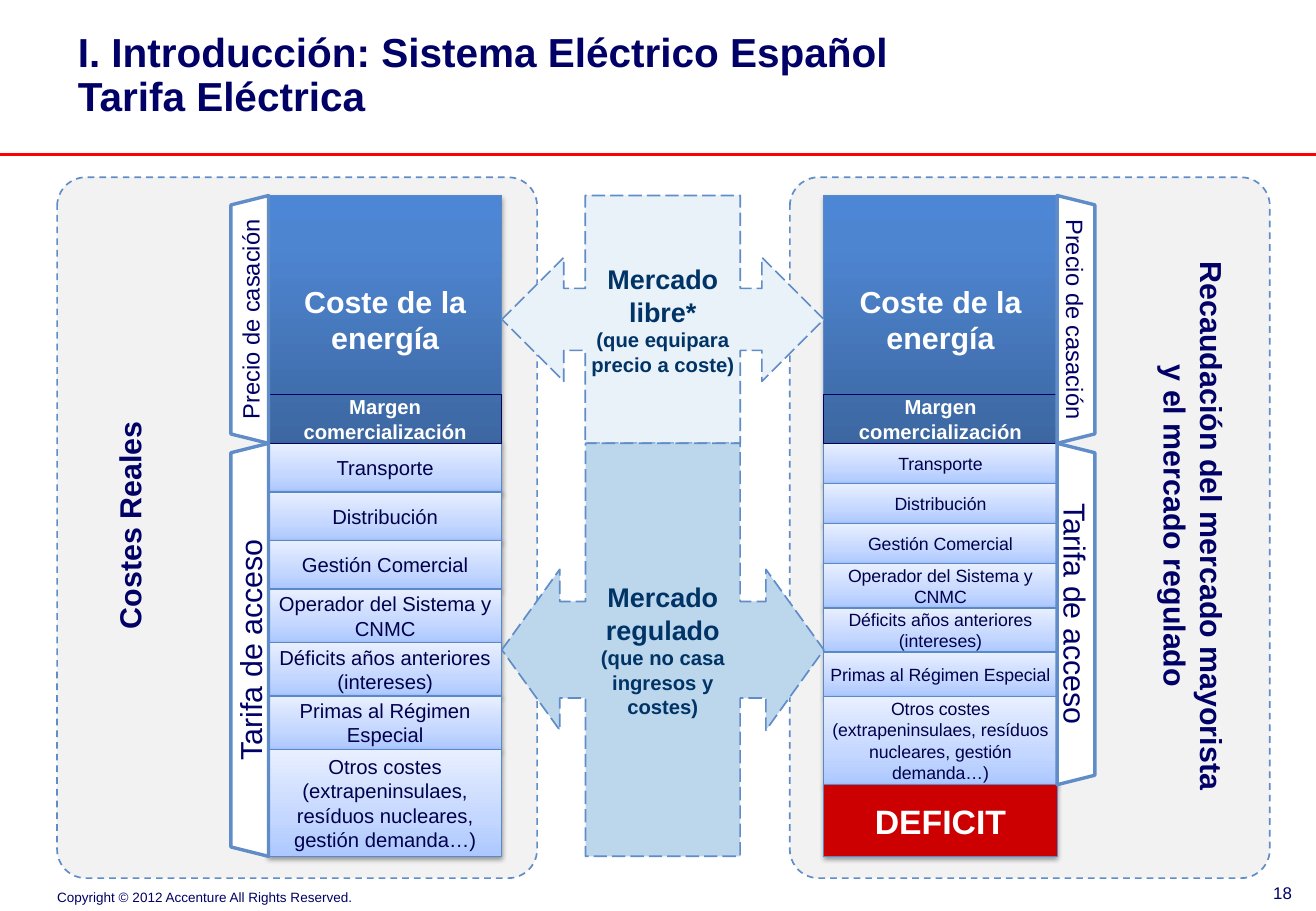
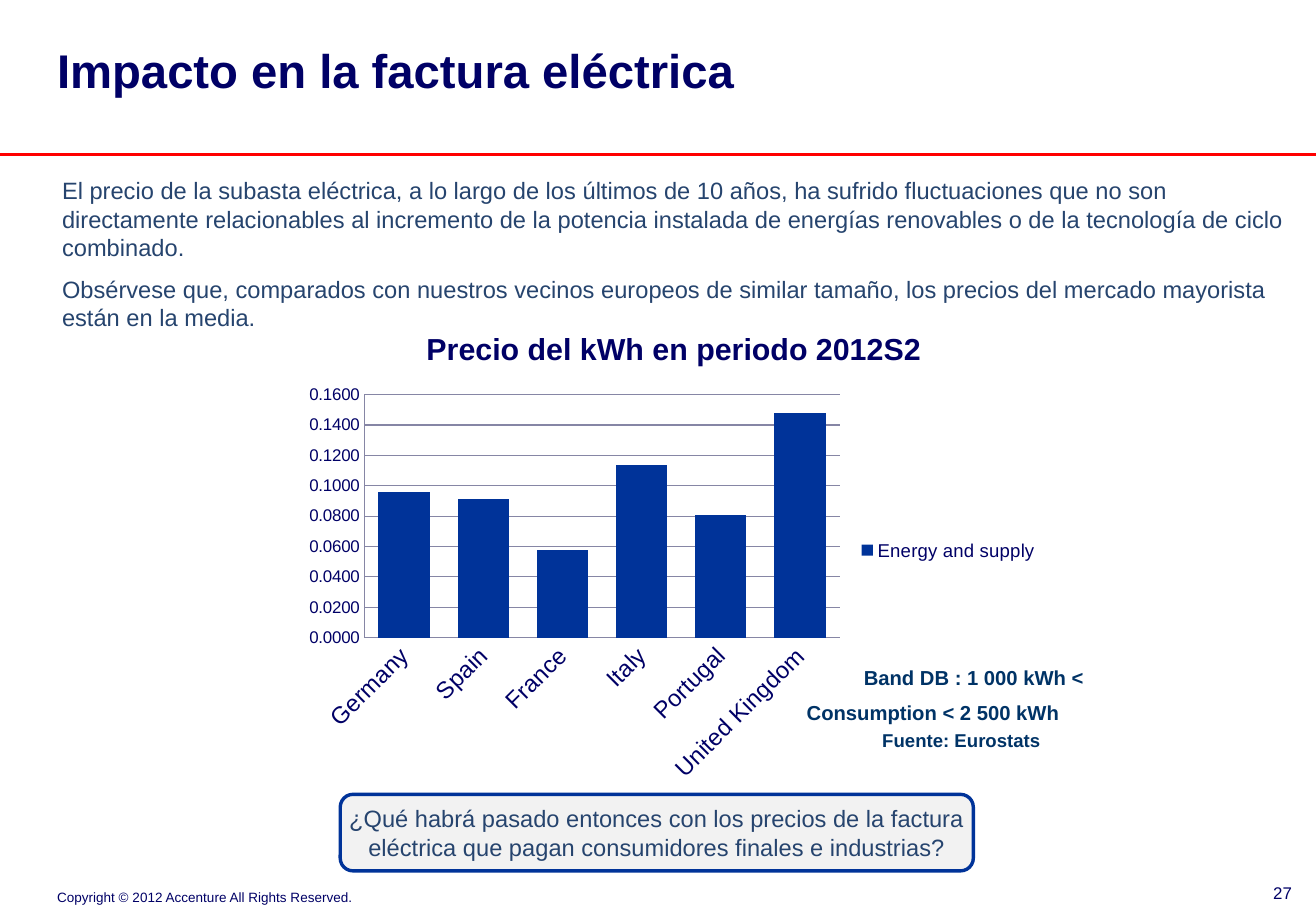
"""Build two slides on the Spanish electricity tariff and its market prices."""
from dataclasses import dataclass
from typing import Optional

from lxml import etree
from pptx import Presentation
from pptx.chart.data import CategoryChartData
from pptx.dml.color import RGBColor
from pptx.enum.chart import XL_CHART_TYPE as CT, XL_LEGEND_POSITION as LP, XL_TICK_MARK as TM
from pptx.enum.dml import MSO_LINE
from pptx.enum.shapes import MSO_CONNECTOR, MSO_SHAPE as SH
from pptx.enum.text import MSO_ANCHOR as VA, MSO_AUTO_SIZE, PP_ALIGN as AL
from pptx.oxml.ns import qn
from pptx.util import Inches, Pt

COLORS = {
    "navy": "000066", "ink": "00004D", "teal": "003366", "slate": "26446E",
    "bar": "003399", "white": "FFFFFF", "red": "FF0000", "deficit": "CC0000",
    "panel": "F2F2F2", "free": "E9F1F9", "regulated": "BCD6EC",
    "outline": "608CC8", "edge": "5B89C6", "grid": "8686A5",
}
GRADIENTS = {
    "energy": [(0, "3C67A1"), (80, "4E85D1"), (100, "4C86D4")],
    "access": [(0, "ACC8FF"), (35, "C4D7FF"), (100, "E8EFFF")],
}
TIGHT = (0.04, 0.04, 0.04, 0.04)
PADDED = (0.04, 0.05, 0.04, 0.05)
DEFAULT = (0.1, 0.05, 0.1, 0.05)
NONE = (0, 0, 0, 0)

TOP, SPLIT, BOTTOM = 1.61, 3.65, 7.05
COL_W, BRACKET_W, MARGIN_H = 1.92, 0.31, 0.4
ACCESS_COSTS = [
    ("Transporte", 0.4), ("Distribución", 0.4), ("Gestión Comercial", 0.4),
    ("Operador del Sistema y CNMC", 0.44), ("Déficits años anteriores (intereses)", 0.44),
    ("Primas al Régimen Especial", 0.44),
    ("Otros costes (extrapeninsulaes, resíduos nucleares, gestión demanda…)", 0.88),
]


@dataclass(frozen=True)
class Box:
    x: float
    y: float
    w: float
    h: float

    def emu(self):
        return [Inches(v) for v in (self.x, self.y, self.w, self.h)]


@dataclass(frozen=True)
class Look:
    line: str
    width: float
    fill: Optional[str] = None
    dash: Optional[MSO_LINE] = None
    shadow: Optional[int] = None


@dataclass(frozen=True)
class Para:
    text: str
    size: float
    color: str = "navy"
    bold: bool = False
    align: AL = AL.LEFT
    spacing: Optional[float] = None
    before: Optional[float] = None


@dataclass(frozen=True)
class CostColumn:
    x: float
    access_h: float
    size: float
    bracket_x: float
    rotation: int


PANEL = Look("outline", 1, "panel", MSO_LINE.DASH)
ENERGY = Look("edge", 0.75, "energy", shadow=35)
ACCESS = Look("edge", 0.75, "access", shadow=38)
DEFICIT = Look("edge", 0.75, "deficit", shadow=38)
MARGIN = Look("navy", 0.75)
BRACKET = Look("outline", 2, "white")
QUESTION = Look("bar", 2, "panel")
COLUMNS = [
    CostColumn(2.21, 3.4, 12, 2.21 - BRACKET_W, 270),
    CostColumn(6.78, 2.81, 10.5, 6.78 + COL_W, 90),
]


def rgb(name: str) -> RGBColor:
    return RGBColor.from_string(COLORS[name])


def assign(obj, **values) -> None:
    for name, value in values.items():
        setattr(obj, name, value)


def set_font(font, size: float, color: str = "navy", bold: bool = False) -> None:
    assign(font, name="Arial", size=Pt(size), bold=bold)
    font.color.rgb = rgb(color)


def write(tf, paras: list, inset=NONE, anchor=VA.TOP, wrap: bool = True) -> None:
    left, top, right, bottom = map(Inches, inset)
    assign(tf, auto_size=MSO_AUTO_SIZE.NONE, word_wrap=wrap, vertical_anchor=anchor,
           margin_left=left, margin_top=top, margin_right=right, margin_bottom=bottom)
    for i, para in enumerate(paras):
        p = tf.add_paragraph() if i else tf.paragraphs[0]
        assign(p, alignment=para.align, line_spacing=para.spacing,
               space_before=Pt(para.before or 0))
        r = p.add_run()
        r.text = para.text
        set_font(r.font, para.size, para.color, para.bold)


def add_text(s, box: Box, paras: list, inset=PADDED, rotation: int = 0, **frame):
    tb = s.shapes.add_textbox(*box.emu())
    tb.rotation = rotation
    write(tb.text_frame, paras, inset, **frame)
    return tb


def add_box(s, kind, box: Box, look: Look, paras=(), inset=TIGHT, wrap=True, rotation=0, adj=()):
    sp = s.shapes.add_shape(kind, *box.emu())
    sp.rotation = rotation
    for i, value in enumerate(adj):
        sp.adjustments[i] = value
    if look.fill in GRADIENTS:
        sp.fill.gradient()
        sp.fill.gradient_angle = 90
        stops = sp._element.spPr.find(qn("a:gradFill")).find(qn("a:gsLst"))
        for stop in list(stops):
            stops.remove(stop)
        for pos, color in GRADIENTS[look.fill]:
            gs = etree.SubElement(stops, qn("a:gs"), pos=str(pos * 1000))
            etree.SubElement(gs, qn("a:srgbClr"), val=color)
    elif look.fill:
        sp.fill.solid()
        sp.fill.fore_color.rgb = rgb(look.fill)
    else:
        sp.fill.background()
    sp.line.color.rgb = rgb(look.line)
    assign(sp.line, width=Pt(look.width), dash_style=look.dash)
    sp.shadow.inherit = False
    if look.shadow:
        effects = sp._element.spPr.find(qn("a:effectLst"))
        outer = etree.SubElement(effects, qn("a:outerShdw"), blurRad=str(Pt(3.1)),
                                 dist=str(Pt(1.7)), dir="5400000", rotWithShape="0")
        black = etree.SubElement(outer, qn("a:srgbClr"), val="000000")
        etree.SubElement(black, qn("a:alpha"), val=str(look.shadow * 1000))
    if paras:
        write(sp.text_frame, paras, inset, VA.MIDDLE, wrap)
    return sp


def new_slide(prs, layout: int, number: str, title: list, title_box: Box):
    s = prs.slides.add_slide(prs.slide_layouts[layout])
    place(s.shapes.title, title_box)
    write(s.shapes.title.text_frame, title)
    rule = s.shapes.add_connector(MSO_CONNECTOR.STRAIGHT, 0, Inches(1.27), prs.slide_width, Inches(1.27))
    rule.line.color.rgb = rgb("red")
    rule.line.width = Pt(2)
    etree.SubElement(rule._element.spPr, qn("a:effectLst"))
    add_text(s, Box(0.47, 7.27, 2.5, 0.18), [Para("Copyright © 2012 Accenture All Rights Reserved.", 8)],
             NONE, anchor=VA.BOTTOM, wrap=False)
    add_text(s, Box(9.94, 7.22, 0.79, 0.18), [Para(number, 10, align=AL.RIGHT)], DEFAULT)
    return s


def place(shape, box: Box) -> None:
    assign(shape, **dict(zip(("left", "top", "width", "height"), box.emu())))


def centred(text: str, size: float, color: str = "navy", bold: bool = False) -> list:
    return [Para(text, size, color, bold, AL.CENTER)]


def add_bracket(s, col: CostColumn, text: str, size: float, top: float, height: float) -> None:
    cx, cy = col.bracket_x + BRACKET_W / 2, top + height / 2
    box = Box(cx - height / 2, cy - BRACKET_W / 2, height, BRACKET_W)
    add_box(s, SH.TRAPEZOID, box, BRACKET, centred(text, size), DEFAULT, False, col.rotation)


def add_column(s, col: CostColumn) -> None:
    def cell(text, top, height, look, size, color="white", bold=True):
        add_box(s, SH.RECTANGLE, Box(col.x, top, COL_W, height), look, centred(text, size, color, bold))

    cell("Coste de la energía", TOP, SPLIT - TOP, ENERGY, 18)
    y, scale = SPLIT, col.access_h / sum(h for _, h in ACCESS_COSTS)
    for text, height in ACCESS_COSTS:
        cell(text, y, height * scale, ACCESS, col.size, "ink", False)
        y += height * scale
    cell("Margen comercialización", SPLIT - MARGIN_H, MARGIN_H, MARGIN, 12)
    if BOTTOM - y > 0.1:
        cell("DEFICIT", y, BOTTOM - y, DEFICIT, 20)
    add_bracket(s, col, "Tarifa de acceso", 18, SPLIT, col.access_h)
    add_bracket(s, col, "Precio de casación", 14, TOP, SPLIT - TOP)


def tariff_slide(prs) -> None:
    title = [Para(t, 24, bold=True, spacing=0.9)
             for t in ("I. Introducción: Sistema Eléctrico Español", "Tarifa Eléctrica")]
    s = new_slide(prs, 5, "18", title, Box(0.64, 0.27, 10.19, 0.95))
    for x in (6.5, 0.47):
        add_box(s, SH.ROUNDED_RECTANGLE, Box(x, 1.46, 3.95, 5.77), PANEL, adj=(0.06,))
    add_text(s, Box(0.14, 4.13, 1.84, 0.39), centred("Costes Reales", 18, bold=True),
             rotation=270, wrap=False)
    add_text(s, Box(7.55, 3.95, 4.49, 0.76), rotation=90, paras=centred(
        "Recaudación del mercado mayorista y el mercado regulado", 18, bold=True))
    for col in COLUMNS:
        add_column(s, col)
    left = COLUMNS[0].x + COL_W
    for head, detail, top, end, fill, adj in (
        ("Mercado libre*", "(que equipara precio a coste)", TOP, SPLIT, "free", ()),
        ("Mercado regulado", "(que no casa ingresos y costes)", SPLIT, BOTTOM, "regulated",
         (0.3, 0.25, 0.18, 0.48)),
    ):
        add_box(s, SH.LEFT_RIGHT_ARROW_CALLOUT, Box(left, top, COLUMNS[1].x - left, end - top),
                Look("outline", 1, fill, MSO_LINE.LONG_DASH),
                centred(head, 16, "teal", True) + centred(detail, 12, "teal", True), adj=adj)


def add_price_chart(s) -> None:
    data = CategoryChartData(number_format="#,##0.0000")
    data.categories = ["Germany", "Spain", "France", "Italy", "Portugal", "United Kingdom"]
    data.add_series("Energy and supply", [0.096, 0.091, 0.058, 0.114, 0.081, 0.148])
    chart = s.shapes.add_chart(CT.COLUMN_STACKED, *Box(2.44, 2.53, 6.21, 4).emu(), data).chart
    set_font(chart.font, 10)
    chart.has_title = True
    write_title = chart.chart_title.text_frame
    write_title.text = "Precio del kWh en periodo 2012S2"
    set_font(write_title.paragraphs[0].runs[0].font, 18, bold=True)
    chart.has_legend = True
    assign(chart.legend, position=LP.RIGHT, include_in_layout=False)
    set_font(chart.legend.font, 11)
    plot = chart.plots[0]
    assign(plot, gap_width=55, overlap=100, vary_by_categories=False)
    fill = plot.series[0].format.fill
    fill.solid()
    fill.fore_color.rgb = rgb("bar")
    cat, val = chart.category_axis, chart.value_axis
    assign(val, minimum_scale=0, maximum_scale=0.16, major_unit=0.02, has_major_gridlines=True)
    assign(val.tick_labels, number_format="#,##0.0000", number_format_is_linked=False)
    for axis, size in ((cat, 14), (val, 10)):
        axis.major_tick_mark = TM.NONE
        axis.format.line.color.rgb = rgb("grid")
        set_font(axis.tick_labels.font, size)
    val.major_gridlines.format.line.color.rgb = rgb("grid")
    cat._element.find(qn("c:txPr")).find(qn("a:bodyPr")).set("rot", "-2700000")
    area = chart._chartSpace.chart.plotArea
    for old in area.findall(qn("c:layout")):
        area.remove(old)
    layout = etree.Element(qn("c:layout"))
    manual = etree.SubElement(layout, qn("c:manualLayout"))
    for tag, value in (("layoutTarget", "inner"), ("xMode", "edge"), ("yMode", "edge"),
                       ("x", "0.09"), ("y", "0.18"), ("w", "0.63"), ("h", "0.5")):
        etree.SubElement(manual, qn(f"c:{tag}"), val=value)
    area.insert(0, layout)


def price_slide(prs) -> None:
    title = [Para("Impacto en la factura eléctrica", 28, bold=True, spacing=0.9)]
    s = new_slide(prs, 1, "27", title, Box(0.47, 0.39, 7.93, 0.82))
    body = s.placeholders[1]
    place(body, Box(0.47, 1.4, 10.15, 1.38))
    write(body.text_frame, [
        Para("El precio de la subasta eléctrica, a lo largo de los últimos de 10 años, ha sufrido "
             "fluctuaciones que no son directamente relacionables al incremento de la potencia "
             "instalada de energías renovables o de la tecnología de ciclo combinado.", 14, "slate"),
        Para("Obsérvese que, comparados con nuestros vecinos europeos de similar tamaño, los precios "
             "del mercado mayorista están en la media.", 14, "slate", before=8),
    ], PADDED)
    for p in body.text_frame.paragraphs:
        pPr = p._p.get_or_add_pPr()
        pPr.set("marL", "0")
        pPr.set("indent", "0")
        etree.SubElement(pPr, qn("a:buNone"))
    add_box(s, SH.ROUNDED_RECTANGLE, Box(2.8, 6.54, 5.21, 0.63), QUESTION, centred(
        "¿Qué habrá pasado entonces con los precios de la factura eléctrica que pagan "
        "consumidores finales e industrias?", 14, "slate"), PADDED)
    add_price_chart(s)
    add_text(s, Box(7.22, 5.95, 1.58, 0.39), [Para("Fuente: Eurostats", 11, "teal", True)])
    band = add_text(s, Box(6.54, 5.34, 2.95, 0.6), [
        Para("Band DB : 1 000 kWh < Consumption < 2 500 kWh", 12, "teal", True, spacing=1.45)], DEFAULT)
    band.text_frame.paragraphs[0]._p.get_or_add_pPr().set("indent", str(Inches(0.47)))


def main() -> None:
    prs = Presentation()
    assign(prs, slide_width=Inches(10.83), slide_height=Inches(7.5))
    tariff_slide(prs)
    price_slide(prs)
    prs.save("out.pptx")


if __name__ == "__main__":
    main()
